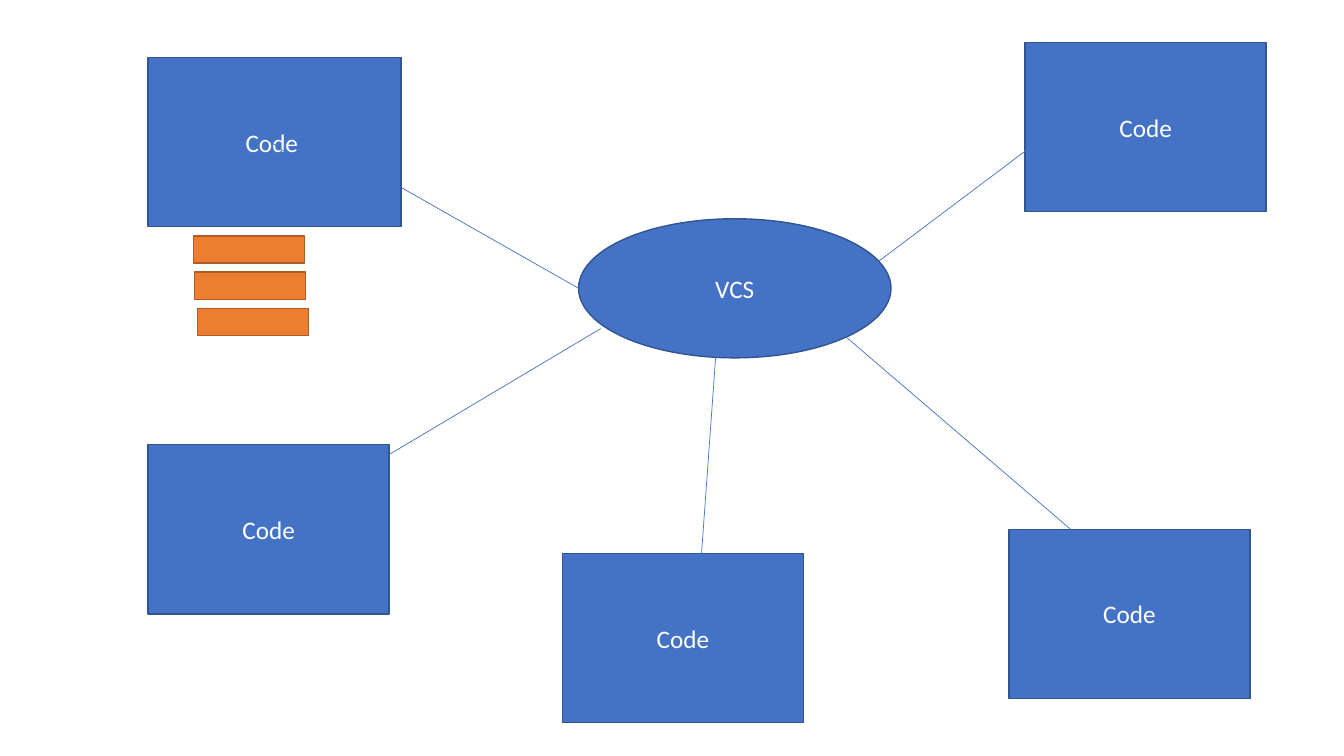
import pptx
import pptx.dml.color
import pptx.enum.shapes
import pptx.enum.text
import pptx.oxml
import pptx.util

Pt = pptx.util.Pt
RGBColor = pptx.dml.color.RGBColor
SHAPE = pptx.enum.shapes.MSO_SHAPE

BLUE = RGBColor(0x44, 0x72, 0xC4)
DARK_BLUE = RGBColor(0x32, 0x54, 0x91)
ORANGE = RGBColor(0xED, 0x7D, 0x31)
DARK_ORANGE = RGBColor(0xAF, 0x5C, 0x24)
WHITE = RGBColor(0xFF, 0xFF, 0xFF)

# Working copies: text, left, top, width
COPIES = [
    ("Code ", 105.84, 41.04, 180.72),
    ("Code", 732.24, 30.24, 172.08),
    ("Code", 105.84, 317.52, 172.08),
    ("Code", 401.76, 395.28, 172.08),
    ("Code", 720.72, 378, 172.08),
]
COPY_HEIGHT = 120.96
SERVER = ("VCS", 413.28, 156.24, 223.2, 99.36)

# Start and end points
LINKS = [
    ((105.84, 41.04), (277.92, 159.84)),
    ((286.56, 133.92), (413.28, 205.92)),
    ((624.96, 188.64), (740.88, 101.52)),
    ((277.92, 324.72), (429.12, 234.72)),
    ((501.12, 395.28), (511.2, 254.88)),
    ((764.64, 378), (604.08, 240.48)),
]

CHANGE_LEFTS = [138.24, 138.96, 141.12]
CHANGE_TOP, CHANGE_STEP = 168.48, 25.92
CHANGE_WIDTH, CHANGE_HEIGHT = 79.2, 19.44


def add_box(page, kind, left, top, width, height, fill, outline):
    box = page.shapes.add_shape(kind, Pt(left), Pt(top), Pt(width), Pt(height))
    box.shadow.inherit = False
    box.fill.solid()
    box.fill.fore_color.rgb = fill
    box.line.color.rgb = outline
    box.line.width = Pt(1)
    return box


def write_text(box, text, size=18, font="Calibri", color=WHITE):
    box.text_frame.vertical_anchor = pptx.enum.text.MSO_ANCHOR.MIDDLE
    para = box.text_frame.paragraphs[0]
    para.alignment = pptx.enum.text.PP_ALIGN.CENTER
    span = para.add_run()
    span.text = text
    span.font.size = Pt(size)
    span.font.name = font
    span.font.color.rgb = color


def add_link(page, start, end):
    link = page.shapes.add_connector(
        pptx.enum.shapes.MSO_CONNECTOR.STRAIGHT, *map(Pt, start + end))
    link.line.color.rgb = BLUE
    link.line.width = Pt(0.5)
    link.element.spPr.append(pptx.oxml.parse_xml(
        '<a:effectLst xmlns:a="http://schemas.openxmlformats.org/drawingml/2006/main"/>'))


def main():
    deck = pptx.Presentation()
    deck.slide_width, deck.slide_height = Pt(960), Pt(540)
    page = deck.slides.add_slide(deck.slide_layouts[6])

    for text, left, top, width in COPIES:
        box = add_box(page, SHAPE.RECTANGLE, left, top, width, COPY_HEIGHT,
                      BLUE, DARK_BLUE)
        write_text(box, text)

    server_name, *server_frame = SERVER
    server = add_box(page, SHAPE.OVAL, *server_frame, BLUE, DARK_BLUE)
    write_text(server, server_name)

    for start, end in LINKS:
        add_link(page, start, end)

    for row, left in enumerate(CHANGE_LEFTS):
        add_box(page, SHAPE.RECTANGLE, left, CHANGE_TOP + row * CHANGE_STEP,
                CHANGE_WIDTH, CHANGE_HEIGHT, ORANGE, DARK_ORANGE)

    deck.save("out.pptx")


if __name__ == "__main__":
    main()
